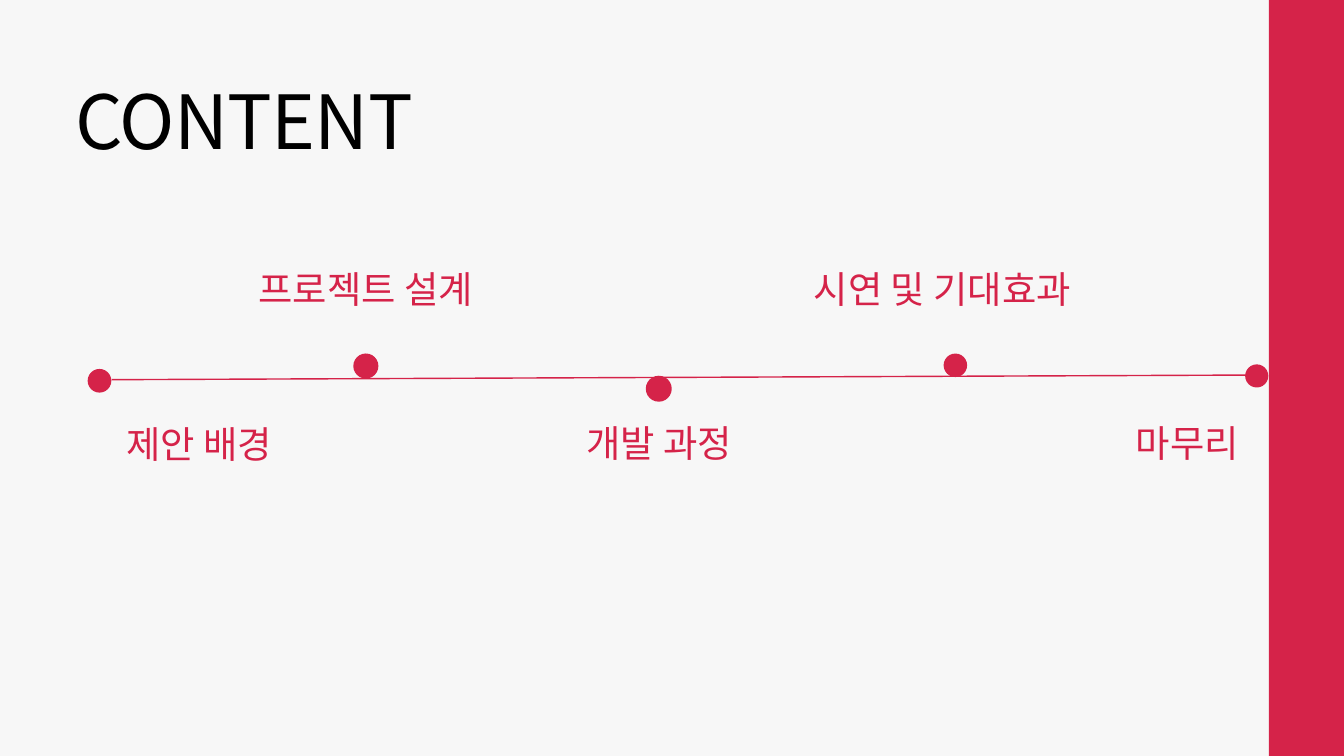
from pptx import Presentation
from pptx.dml.color import RGBColor
from pptx.enum.shapes import MSO_CONNECTOR, MSO_SHAPE
from pptx.enum.text import MSO_ANCHOR, MSO_AUTO_SIZE, PP_ALIGN
from pptx.oxml.ns import qn
from pptx.util import Pt
from lxml.etree import SubElement

# Content, lengths in points
RED, BLACK, PAPER = "D52349", "000000", "F7F7F7"
LATIN, KOREAN = "Calibri", "Noto Sans CJK KR"
CENTER, LEFT = PP_ALIGN.CENTER, PP_ALIGN.LEFT
TITLE = "CONTENT"
TITLE_BOX = (80.6, 80, 1278, 96.5)
BAND = (1359.4, -31, 107.3, 872)
LINE = (119.5, 406.8, 1352.9, 401.8)

# Label, its box, alignment, line spacing, dot centre x, y and diameter
STEPS = [
    ("제안 배경", (93.6, 442.8, 239.8, 53.3), CENTER, 56, (106.6, 408, 25.4)),
    ("프로젝트 설계", (259.2, 280.8, 265, 50.4), CENTER, 52, (392, 392.2, 26.9)),
    ("개발 과정", (573.8, 445.7, 265, 50.4), CENTER, 52, (705.8, 416.5, 27.8)),
    ("시연 및 기대효과", (871.9, 280.8, 303.8, 50.4), LEFT, 52, (1023.6, 391.4, 25.2)),
    ("마무리", (1120.3, 445.7, 303.8, 50.4), CENTER, 52, (1346.5, 402.8, 24.8)),
]


def color(hex_text):
    return RGBColor.from_string(hex_text)


def points(values):
    return [Pt(v) for v in values]


def write(sp, text, *, size, font, fill, spacing, align=LEFT, tracking=None):
    tf = sp.text_frame
    tf.margin_left = tf.margin_top = tf.margin_right = tf.margin_bottom = 0
    tf.word_wrap = True
    tf.auto_size = MSO_AUTO_SIZE.SHAPE_TO_FIT_TEXT
    tf.vertical_anchor = MSO_ANCHOR.TOP
    p = tf.paragraphs[0]
    p.alignment = align
    p.line_spacing = Pt(spacing)
    p.space_before = Pt(0)
    r = p.add_run()
    r.text = text
    r.font.size = Pt(size)
    r.font.name = font
    r.font.color.rgb = color(fill)
    rPr = r.font._element
    SubElement(rPr, qn("a:ea")).set("typeface", KOREAN)
    if tracking is not None:
        rPr.set("spc", str(round(tracking * 100)))


def add_solid(s, kind, box):
    sp = s.shapes.add_shape(kind, *points(box))
    sp.shadow.inherit = False
    sp.fill.solid()
    sp.fill.fore_color.rgb = color(RED)
    sp.line.fill.background()


prs = Presentation()
prs.slide_width, prs.slide_height = Pt(1440), Pt(810)
s = prs.slides.add_slide(prs.slide_layouts[5])
s.background.fill.solid()
s.background.fill.fore_color.rgb = color(PAPER)

# Title
title = s.shapes.title
title.left, title.top, title.width, title.height = points(TITLE_BOX)
write(title, TITLE, size=80, font=KOREAN, fill=BLACK, spacing=96, tracking=-0.8)

# Timeline
line = s.shapes.add_connector(MSO_CONNECTOR.STRAIGHT, *points(LINE))
line.line.color.rgb = color(RED)
line.line.width = Pt(1.5)
SubElement(line._element.spPr, qn("a:effectLst"))

# Steps: a dot and a label each
for text, box, align, spacing, (x, y, d) in STEPS:
    add_solid(s, MSO_SHAPE.OVAL, (x - d / 2, y - d / 2, d, d))
    label = s.shapes.add_textbox(*points(box))
    write(label, text, size=40, font=LATIN, fill=RED, spacing=spacing, align=align)

# Side band
add_solid(s, MSO_SHAPE.RECTANGLE, BAND)

prs.save("out.pptx")
